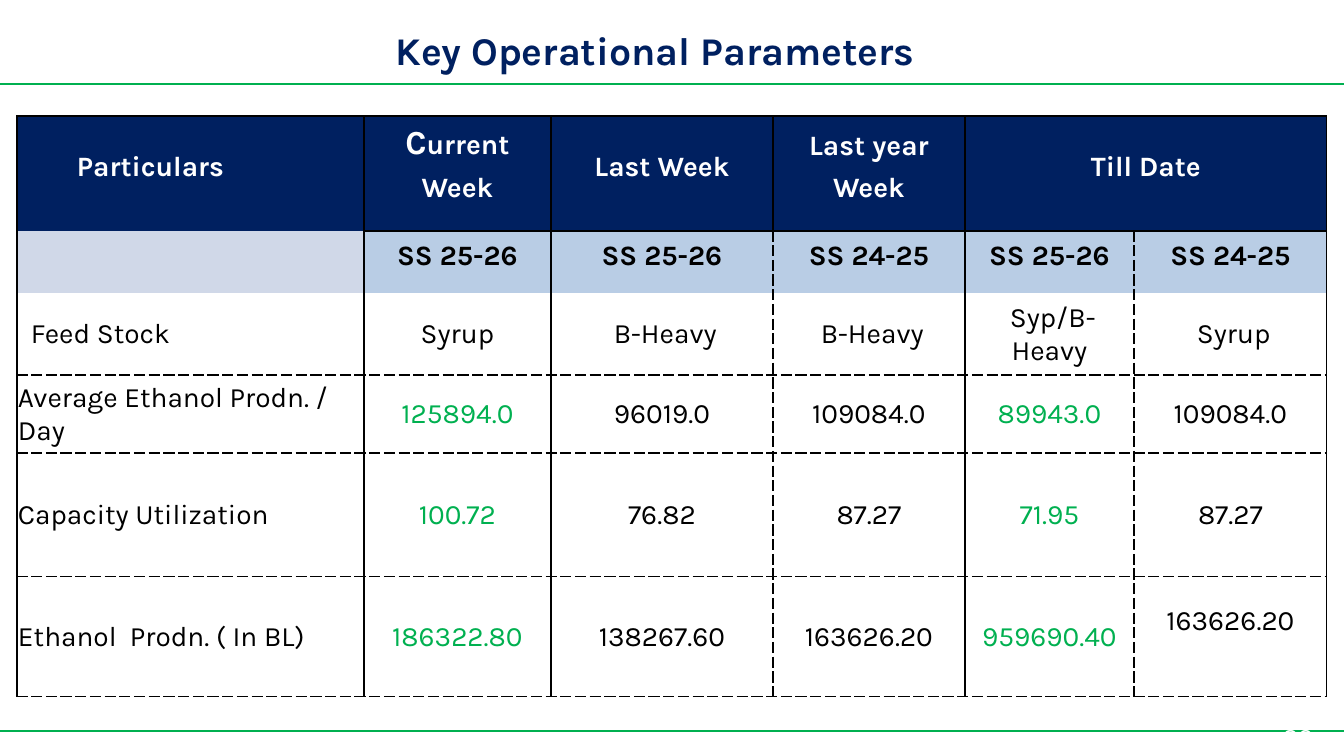
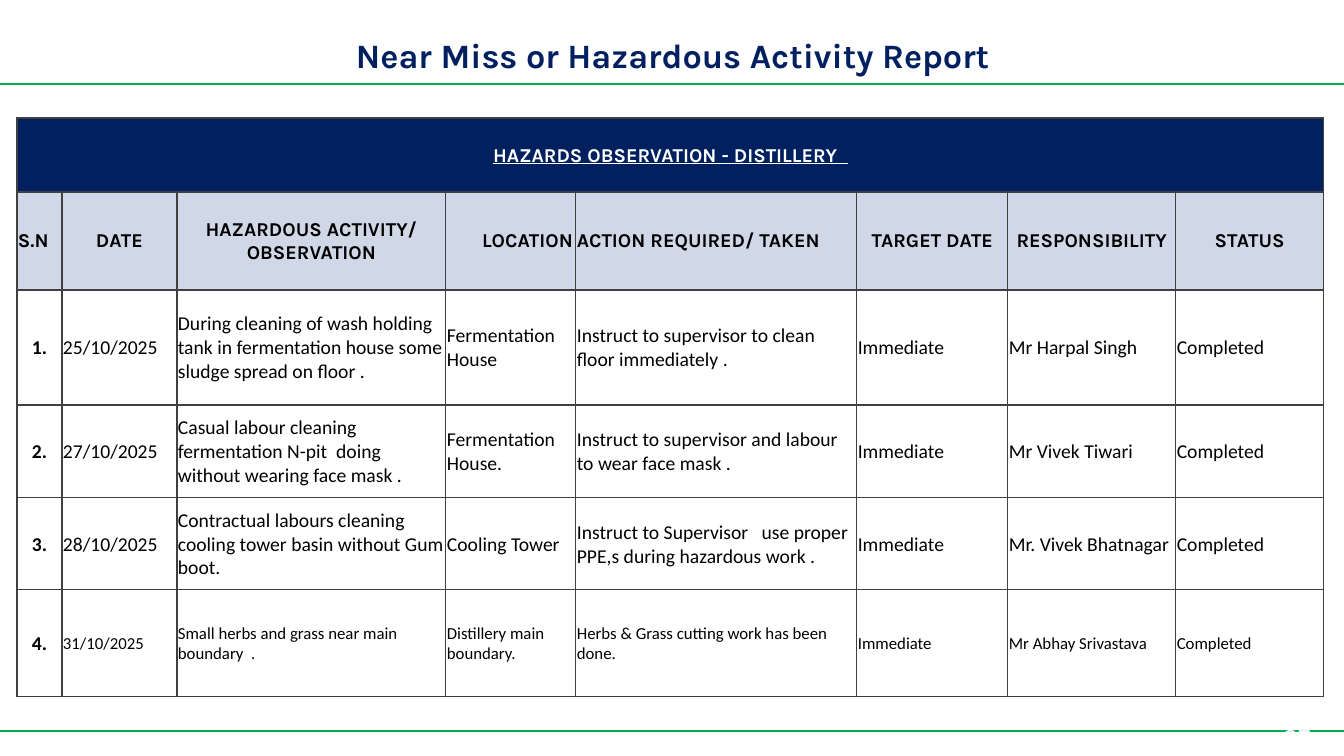
from dataclasses import dataclass, replace

from lxml.etree import SubElement
from pptx import Presentation
from pptx.dml.color import RGBColor as RGB
from pptx.enum.shapes import MSO_CONNECTOR as Link
from pptx.enum.text import MSO_ANCHOR as Anchor, MSO_AUTO_SIZE as Fit, PP_ALIGN as Align
from pptx.oxml.ns import qn
from pptx.util import Emu, Pt


@dataclass(frozen=True)
class Look:
    size: float
    color: str
    bold: bool = False
    under: bool = False
    face: str = "Karla"


@dataclass(frozen=True)
class Theme:
    navy: str = "002060"
    green: str = "00B050"
    black: str = "000000"
    white: str = "FFFFFF"
    gray: str = "404040"
    pale: str = "D0D8E8"
    blue: str = "B9CDE5"
    rule: float = 1.25
    edge: int = 1
    lead: int = 15
    title: Look = Look(28, "002060", True)
    page: Look = Look(18, "FFFFFF")
    head: Look = Look(20, "FFFFFF", True)
    cap: Look = Look(24, "FFFFFF", True)
    data: Look = Look(20, "000000")
    band: Look = Look(14, "FFFFFF", True, True)
    label: Look = Look(14, "000000", True)
    note: Look = Look(14, "000000", face="Calibri")


T = Theme()
WIDE, HIGH = 1344, 756
SIDES = "LRTB"


def px(count):
    return Emu(round(count * 914400 / 100.8))


def write(frame, lines, align=Align.LEFT, lead=None):
    """Each line is a list of (text, look) runs; lead is an exact line pitch."""
    for at, runs in enumerate(lines):
        para = frame.paragraphs[0] if at == 0 else frame.add_paragraph()
        para.alignment = align
        if lead:
            para.line_spacing = Pt(lead)
            if at:
                para.space_before = Pt(lead)
        for text, look in runs:
            run = para.add_run()
            run.text = text
            font = run.font
            font.name, font.size = look.face, Pt(look.size)
            font.bold, font.underline = look.bold, look.under
            font.color.rgb = RGB.from_string(look.color)


def trim(cell, left=1, top=1, right=1, bottom=0):
    cell.margin_left, cell.margin_top = px(left), px(top)
    cell.margin_right, cell.margin_bottom = px(right), px(bottom)


def edge(cell, side, color, dash):
    """Draw one border of a cell; a dash of None leaves it open."""
    line = SubElement(cell._tc.get_or_add_tcPr(), qn(f"a:ln{side}"), w=str(Pt(T.edge)))
    if dash is None:
        SubElement(line, qn("a:noFill"))
        return
    fill = SubElement(line, qn("a:solidFill"))
    SubElement(fill, qn("a:srgbClr"), val=color)
    SubElement(line, qn("a:prstDash"), val=dash)


def grid(slide, left, top, cols, rows, color, dash, fill):
    """Add a table; dash(row, col, side) and fill(row, col) style its cells."""
    shape = slide.shapes.add_table(
        len(rows), len(cols), px(left), px(top), px(sum(cols)), px(sum(rows)))
    table = shape.table
    table.first_row = table.horz_banding = False
    for col, size in zip(table.columns, cols):
        col.width = px(size)
    for row, size in zip(table.rows, rows):
        row.height = px(size)
    for r in range(len(rows)):
        for c in range(len(cols)):
            cell = table.cell(r, c)
            for side in SIDES:
                edge(cell, side, color, dash(r, c, side))
            cell.fill.solid()
            cell.fill.fore_color.rgb = RGB.from_string(fill(r, c))
            cell.vertical_anchor = Anchor.MIDDLE
    return table


def base(deck, title, box, look, page):
    """Add a slide with its title, two green rules and page number."""
    slide = deck.slides.add_slide(deck.slide_layouts[5])
    for y in (84, 731):
        rule = slide.shapes.add_connector(Link.STRAIGHT, 0, px(y), px(WIDE), px(y))
        rule.line.color.rgb = RGB.from_string(T.green)
        rule.line.width = Pt(T.rule)
        SubElement(rule._element.spPr, qn("a:effectLst"))
    num = slide.shapes.add_textbox(px(1273), px(716), px(68), px(40)).text_frame
    num.word_wrap = True
    write(num, [[(page, T.page)]])
    name = slide.shapes.title
    name.left, name.top, name.width, name.height = map(px, box)
    frame = name.text_frame
    frame.auto_size, frame.word_wrap = Fit.NONE, True
    frame.vertical_anchor = Anchor.MIDDLE
    write(frame, [[(title, look)]], Align.CENTER)
    return slide


HEADS = [
    [[("Particulars", T.head)]],
    [[("C", T.cap), ("urrent", T.head)], [("Week", T.head)]],
    [[("Last Week", T.head)]],
    [[("Last year", T.head)], [("Week", T.head)]],
    [[("Till Date", T.head)]],
]
TERMS = ["SS 25-26", "SS 25-26", "SS 24-25", "SS 25-26", "SS 24-25"]
FIGURES = [
    ["Feed Stock", "Syrup", " B-Heavy", " B-Heavy", " Syp/B-Heavy", " Syrup"],
    ["Average Ethanol Prodn. / Day", "125894.0", "96019.0", "109084.0", "89943.0", "109084.0"],
    ["Capacity Utilization", "100.72", "76.82", "87.27", "71.95", "87.27"],
    ["Ethanol  Prodn. ( In BL)", "186322.80", "138267.60", "163626.20", "959690.40", "163626.20"],
]


def key_dash(row, col, side):
    if side in "LR":
        gap = col if side == "L" else col + 1
        return "sysDash" if row and gap in (3, 5) else "solid"
    level = row if side == "T" else row + 1
    if level == 2 or (level == 1 and col == 0):
        return None
    return "solid" if level < 2 else "sysDash"


def key_fill(row, col):
    if row == 1:
        return T.blue if col else T.pale
    return T.white if row else T.navy


def key_table(slide, left, top):
    table = grid(slide, left, top, [347, 187, 222, 192, 169, 193],
                 [115, 62, 82, 78, 124, 120], T.black, key_dash, key_fill)
    table.cell(0, 4).merge(table.cell(0, 5))
    for c, lines in enumerate(HEADS):
        align = Align.CENTER if c else Align.LEFT
        write(table.cell(0, c).text_frame, lines, align, T.lead)
    table.cell(0, 0).margin_left = px(60)
    term = replace(T.head, color=T.black)
    for c, text in enumerate(TERMS, 1):
        write(table.cell(1, c).text_frame, [[(text, term)]], Align.CENTER, T.lead)
    good = replace(T.data, color=T.green)
    for r, texts in enumerate(FIGURES, 2):
        for c, text in enumerate(texts):
            cell = table.cell(r, c)
            trim(cell)
            look = good if r > 2 and c in (1, 4) else T.data
            align = Align.CENTER if c else Align.LEFT
            write(cell.text_frame, [[(text, look)]], align)
    table.cell(2, 0).margin_left = px(14)
    table.cell(5, 5).margin_bottom = px(33)


LABELS = [
    ("S.N", Align.JUSTIFY),
    ("DATE", Align.CENTER),
    ("HAZARDOUS ACTIVITY/ OBSERVATION", Align.CENTER),
    ("LOCATION", Align.RIGHT),
    ("ACTION REQUIRED/ TAKEN", Align.JUSTIFY),
    ("TARGET DATE", Align.CENTER),
    ("RESPONSIBILITY", Align.CENTER),
    ("STATUS", Align.CENTER),
]
HAZARDS = [
    ("25/10/2025",
     "During cleaning of wash holding tank in fermentation house some sludge spread on floor .",
     "Fermentation House", "Instruct to supervisor to clean floor immediately .",
     "Mr Harpal Singh"),
    ("27/10/2025",
     "Casual labour cleaning fermentation N-pit  doing without wearing face mask .",
     "Fermentation House.", "Instruct to supervisor and labour to wear face mask .",
     "Mr Vivek Tiwari"),
    ("28/10/2025",
     "Contractual labours cleaning cooling tower basin without Gum boot.",
     "Cooling Tower", "Instruct to Supervisor   use proper PPE,s during hazardous work .",
     "Mr. Vivek Bhatnagar"),
    ("31/10/2025", "Small herbs and grass near main boundary  .",
     "Distillery main boundary.", "Herbs & Grass cutting work has been done.",
     "Mr Abhay Srivastava"),
]


def risk_table(slide, left, top):
    fills = [T.navy, T.pale] + [T.white] * len(HAZARDS)
    table = grid(slide, left, top, [45, 115, 269, 130, 281, 151, 168, 148],
                 [74, 98, 115, 93, 92, 107], T.gray,
                 lambda row, col, side: "solid", lambda row, col: fills[row])

    def put(row, col, text, look, align=Align.LEFT):
        cell = table.cell(row, col)
        trim(cell)
        write(cell.text_frame, [[(text, look)]], align)

    table.cell(0, 0).merge(table.cell(0, 7))
    put(0, 0, "HAZARDS OBSERVATION - DISTILLERY  ", T.band, Align.CENTER)
    for c, (text, align) in enumerate(LABELS):
        put(1, c, text, T.label, align)
    table.cell(1, 3).margin_right = px(3)
    for at, (date, act, place, fix, who) in enumerate(HAZARDS, 1):
        row = at + 1
        put(row, 0, f"{at}.", replace(T.note, bold=True), Align.CENTER)
        look = replace(T.note, size=12) if at == len(HAZARDS) else T.note
        for c, text in enumerate((date, act, place, fix, "Immediate", who, "Completed"), 1):
            put(row, c, text, look)


def main():
    deck = Presentation()
    deck.slide_width, deck.slide_height = px(WIDE), px(HIGH)
    slide = base(deck, "Key Operational Parameters", (378, 23, 554, 54), T.title, "82")
    key_table(slide, 17, 116)
    slide = base(deck, "Near Miss or Hazardous Activity Report", (240, 29, 865, 52),
                 replace(T.title, size=24.4), "87")
    risk_table(slide, 17, 118)
    deck.save("out.pptx")


if __name__ == "__main__":
    main()
